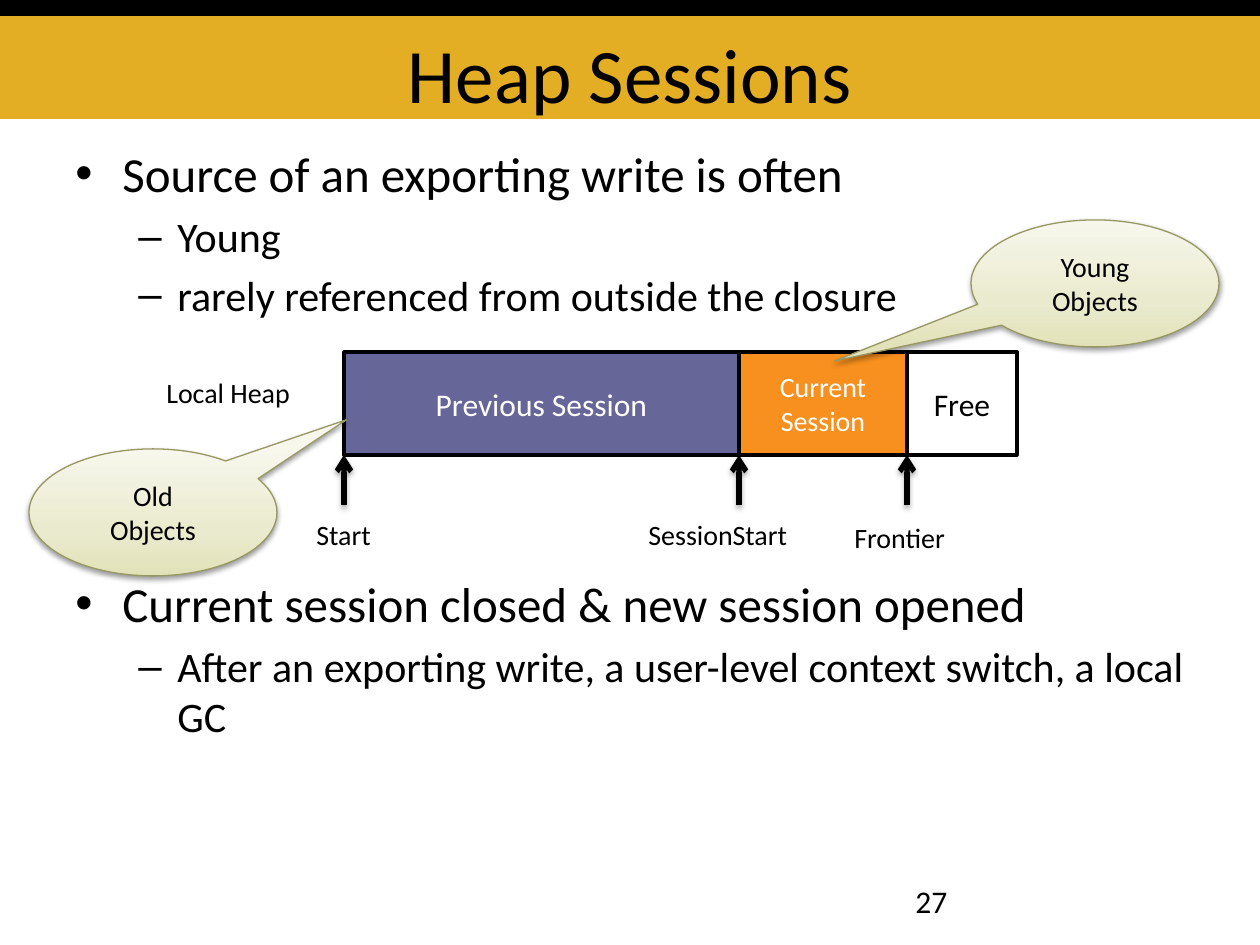
from copy import deepcopy

from lxml import etree
from pptx import Presentation
from pptx import util as u
from pptx.dml.color import RGBColor
from pptx.enum import shapes, text
from pptx.oxml.ns import qn

SCALE = 914400 / 126
COLORS = {
    "black": "000000", "white": "FFFFFF", "gold": "E3AE24",
    "purple": "666699", "orange": "F7901E", "olive": "979763",
}
CALLOUT_STOPS = [(0, "E2E2B9"), (0.35, "EAEACE"), (1, "F7F7EC")]
BULLETS = [("•", 28, 47, -47), ("–", 24, 102, -39)]


def px(length):
    return u.Emu(round(length * SCALE))


def place(box):
    return [px(length) for length in box]


def rgb(name):
    return RGBColor.from_string(COLORS[name])


def style(paragraph, size, color="black", align=text.PP_ALIGN.LEFT):
    paragraph.alignment = align
    paragraph.font.size = u.Pt(size)
    paragraph.font.name = "Calibri"
    paragraph.font.color.rgb = rgb(color)


def add_shadow(effects, distance, opacity):
    shadow = etree.SubElement(effects, qn("a:outerShdw"), blurRad="40000",
                              dist=str(distance), dir="5400000", rotWithShape="0")
    black = etree.SubElement(shadow, qn("a:srgbClr"), val=COLORS["black"])
    etree.SubElement(black, qn("a:alpha"), val=str(opacity * 1000))


def add_label(slide, box, words, size=16):
    label = slide.shapes.add_textbox(*place(box))
    label.text_frame.word_wrap = False
    label.text_frame.text = words
    style(label.text_frame.paragraphs[0], size)


def add_header(slide, box, title_words):
    left, top, width, height = box
    strip = 16
    bands = [((left, top, width, strip), "black"),
             ((left, top + strip, width, height - strip), "gold")]
    for band_box, color in bands:
        band = slide.shapes.add_shape(shapes.MSO_SHAPE.RECTANGLE, *place(band_box))
        band.shadow.inherit = False
        band.fill.solid()
        band.fill.fore_color.rgb = rgb(color)
        band.line.fill.background()
        slide.shapes._spTree.insert(2, band._element)

    title = slide.shapes.title
    title.left, title.top, title.width, title.height = place(
        (left + 63, top + strip, width - 126, height - strip))
    frame = title.text_frame
    frame.text = title_words
    frame.auto_size = text.MSO_AUTO_SIZE.NONE
    frame.vertical_anchor = text.MSO_ANCHOR.BOTTOM
    frame.margin_bottom = 0
    style(frame.paragraphs[0], 44, align=text.PP_ALIGN.CENTER)


def add_points(slide, box, points):
    frame = slide.shapes.add_textbox(*place(box)).text_frame
    frame.word_wrap = True
    for index, (level, words) in enumerate(points):
        point = frame.add_paragraph() if index else frame.paragraphs[0]
        point.text = words
        point.level = level
        mark, size, margin, indent = BULLETS[level]
        properties = point._p.get_or_add_pPr()
        properties.set("marL", str(px(margin)))
        properties.set("indent", str(px(indent)))
        etree.SubElement(properties, qn("a:buFont"), typeface="Arial")
        etree.SubElement(properties, qn("a:buChar"), char=mark)
        if index:
            point.space_before = u.Pt(size * 0.2)
        style(point, size)


def add_pointer(slide, x, top, length):
    pointer = slide.shapes.add_connector(
        shapes.MSO_CONNECTOR.STRAIGHT, px(x), px(top + length), px(x), px(top))
    pointer.line.color.rgb = rgb("black")
    pointer.line.width = u.Pt(3)
    etree.SubElement(pointer.line._get_or_add_ln(), qn("a:tailEnd"), type="arrow")
    effects = etree.SubElement(pointer._element.spPr, qn("a:effectLst"))
    add_shadow(effects, 23000, 35)


def add_heap(slide, box):
    left, top, width, height = box
    sessions = [
        ("Previous Session", 395, "purple", "white", 18),
        ("Current Session", 168, "orange", "white", 16),
        ("Free", width - 395 - 168, "white", "black", 18),
    ]
    pointers = [("Start", -40, 56, 81), ("SessionStart", -103, 56, 183),
                ("Frontier", -65, 59, 130)]
    x = left
    for session, pointer in zip(sessions, pointers):
        words, span, fill, color, size = session
        block = slide.shapes.add_shape(
            shapes.MSO_SHAPE.RECTANGLE, *place((x, top, span, height)))
        block.shadow.inherit = False
        block.fill.solid()
        block.fill.fore_color.rgb = rgb(fill)
        block.line.color.rgb = rgb("black")
        block.line.width = u.Pt(2)
        block.text_frame.text = words
        style(block.text_frame.paragraphs[0], size, color, text.PP_ALIGN.CENTER)

        name, shift, drop, label_width = pointer
        add_pointer(slide, x, top + height, 50)
        add_label(slide, (x + shift, top + height + drop, label_width, 46), name)
        x += span
    add_label(slide, (left - 190, top + 17, 166, 46), "Local Heap")


def add_callout(slide, box, lines, tip):
    callout = slide.shapes.add_shape(
        shapes.MSO_SHAPE.OVAL_CALLOUT, *place(box))
    callout.adjustments[0], callout.adjustments[1] = tip
    callout.fill.gradient()
    callout.fill.gradient_angle = 90
    stop_list = callout._element.spPr.find(".//" + qn("a:gsLst"))
    stop_list.append(deepcopy(stop_list[-1]))
    for stop, (position, color) in zip(callout.fill.gradient_stops, CALLOUT_STOPS):
        stop.position = position
        stop.color.rgb = RGBColor.from_string(color)
    callout.line.color.rgb = rgb("olive")
    callout.line.width = u.Pt(0.75)
    callout.shadow.inherit = False
    add_shadow(callout._element.spPr.find(qn("a:effectLst")), 20000, 38)
    callout.text_frame.text = "\n".join(lines)
    for paragraph in callout.text_frame.paragraphs:
        style(paragraph, 16, align=text.PP_ALIGN.CENTER)


def main():
    deck = Presentation()
    deck.slide_width, deck.slide_height = px(1260), px(945)
    slide = deck.slides.add_slide(deck.slide_layouts[5])

    add_header(slide, (0, 0, 1260, 119), "Heap Sessions")
    add_points(slide, (63, 567, 1134, 246), [
        (0, "Current session closed & new session opened"),
        (1, "After an exporting write, a user-level context switch, a local GC"),
    ])
    add_points(slide, (63, 137, 1134, 203), [
        (0, "Source of an exporting write is often"),
        (1, "Young"),
        (1, "rarely referenced from outside the closure"),
    ])
    add_label(slide, (903, 876, 294, 50), "27", 18)
    add_heap(slide, (344, 352, 673, 103))
    add_callout(slide, (971, 220, 248, 127), ["Young Objects"], (-1.05, 0.61))
    add_callout(slide, (29, 449, 248, 127), ["Old", "Objects"], (0.78, -0.73))
    deck.save("out.pptx")


if __name__ == "__main__":
    main()
